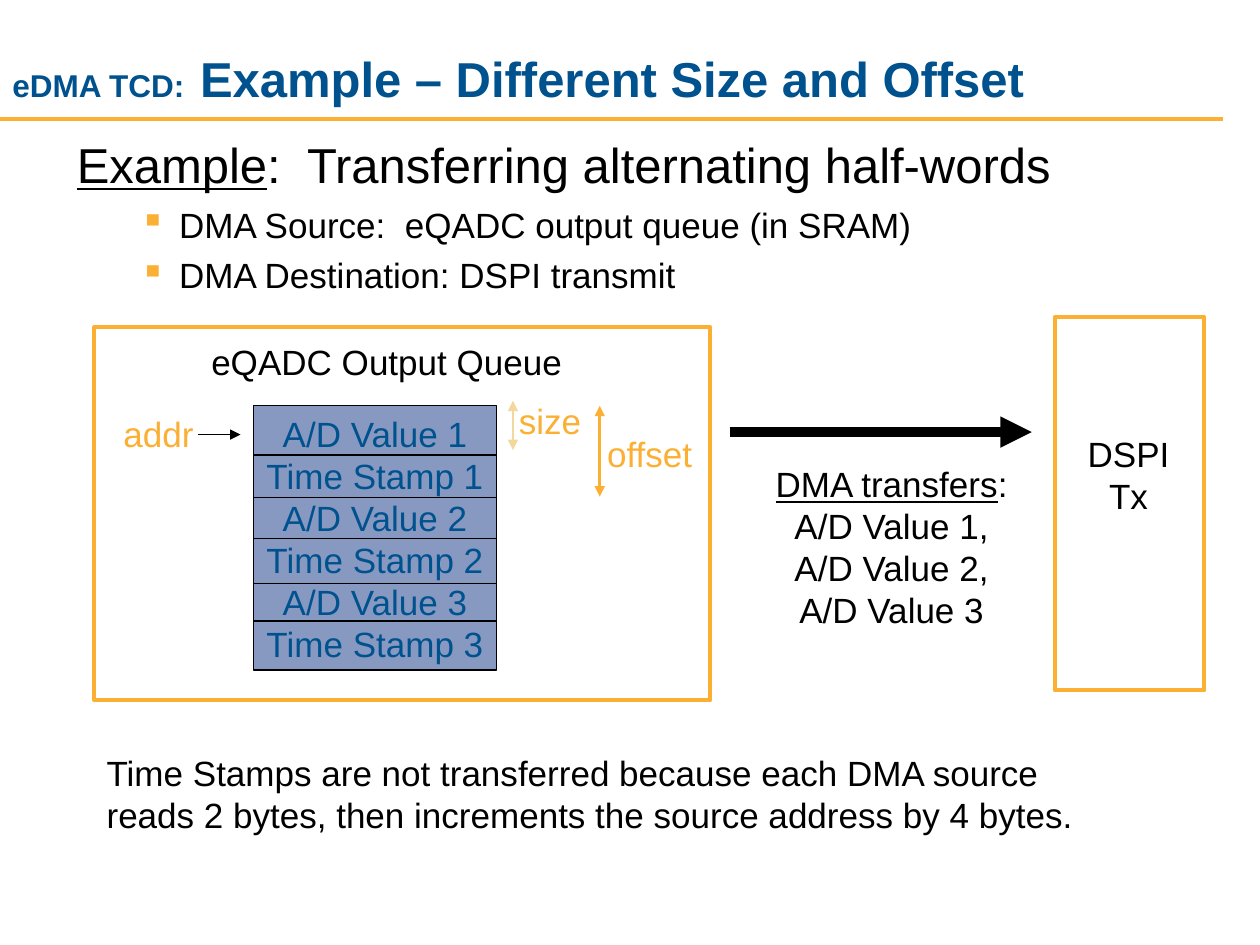
from pptx import Presentation
from pptx.dml.color import RGBColor
from pptx.enum import shapes, text
from pptx.oxml.xmlchemy import OxmlElement
from pptx.util import Cm, Pt

THEME = {
    "font": "Arial",
    "blue": RGBColor(0x00, 0x52, 0x8E),
    "orange": RGBColor(0xFB, 0xB0, 0x34),
    "sand": RGBColor(0xF3, 0xD8, 0x9D),
    "queue": RGBColor(0x87, 0x99, 0xC1),
    "black": RGBColor(0, 0, 0),
    "heading": Pt(28),
    "title_gap": Pt(32),
    "prefix": Pt(18),
    "body": Pt(20),
}
LEFT, CENTER = text.PP_ALIGN.LEFT, text.PP_ALIGN.CENTER


def write(shape, paragraphs, color="black", align=LEFT, wrap=False, anchor="TOP", before=0):
    frame = shape.text_frame
    frame_format = {
        "word_wrap": wrap,
        "auto_size": text.MSO_AUTO_SIZE.NONE,
        "vertical_anchor": text.MSO_ANCHOR[anchor],
        "margin_left": Cm(0.25),
        "margin_right": Cm(0.25),
        "margin_top": Cm(0.13),
        "margin_bottom": Cm(0.13),
    }
    for name, value in frame_format.items():
        setattr(frame, name, value)
    for index, runs in enumerate(paragraphs):
        paragraph = frame.paragraphs[0] if index == 0 else frame.add_paragraph()
        paragraph.alignment = align
        paragraph.space_before = Pt(before)
        for content, extra in [(runs, {})] if isinstance(runs, str) else runs:
            run = paragraph.add_run()
            run.text = content
            run.font.color.rgb = THEME[color]
            run_format = {"name": THEME["font"], "size": THEME["body"], **extra}
            for name, value in run_format.items():
                setattr(run.font, name, value)
    return frame


def draw_line(start, end, color="black", width=0.75, arrows=()):
    line = slide.shapes.add_connector(
        shapes.MSO_CONNECTOR.STRAIGHT, *(Cm(value) for value in start + end))
    line.line.color.rgb = THEME[color]
    line.line.width = Pt(width)
    outline = line.line._get_or_add_ln()
    for end_name in arrows:
        arrow = OxmlElement(f"a:{end_name}")
        arrow.set("type", "triangle")
        outline.append(arrow)
    line._element.spPr.append(OxmlElement("a:effectLst"))


presentation = Presentation()
presentation.slide_width, presentation.slide_height = Cm(25.4), Cm(19.05)
slide = presentation.slides.add_slide(presentation.slide_layouts[5])

title = slide.shapes.title
title_place = {"left": 0, "top": 0.48, "width": 22.71, "height": 1.85}
for name, value in title_place.items():
    setattr(title, name, Cm(value))
title_runs = [
    ("eDMA TCD:", {"size": THEME["prefix"], "bold": True}),
    (" ", {"size": THEME["title_gap"], "bold": True}),
    ("Example – Different Size and Offset", {"size": THEME["heading"], "bold": True}),
]
write(title, [title_runs], "blue", wrap=True, anchor="BOTTOM")
draw_line((0, 2.39), (24.66, 2.39), "orange", 2.25)

body = slide.shapes.add_textbox(Cm(1.3), Cm(2.72), Cm(21.56), Cm(3.51))
body_frame = write(body, [
    [("Example", {"size": THEME["heading"], "underline": True}),
     (":  Transferring alternating half-words", {"size": THEME["heading"]})],
    "DMA Source:  eQADC output queue (in SRAM)",
    "DMA Destination: DSPI transmit",
], wrap=True, before=5)
heading, *bullets = body_frame.paragraphs
heading.space_before = Pt(7)
heading.line_spacing = 0.9
for paragraph in bullets:
    paragraph.level = 1
    properties = paragraph._p.get_or_add_pPr()
    properties.set("marL", str(Cm(2.06)))
    properties.set("indent", str(Cm(-0.79)))
    bullet_color = OxmlElement("a:buClr")
    color_value = OxmlElement("a:srgbClr")
    color_value.set("val", str(THEME["orange"]))
    bullet_color.append(color_value)
    bullet = OxmlElement("a:buChar")
    bullet.set("char", "▪")
    properties.extend([bullet_color, bullet])

boxes = [
    ((5.11, 8.18, 4.9, 5.33), "queue", "black", 0.75),
    ((1.9, 6.6, 12.42, 7.52), None, "orange", 2.25),
    ((21.26, 6.4, 3.02, 7.52), None, "orange", 2.25),
]
for place, fill, outline, width in boxes:
    box = slide.shapes.add_shape(
        shapes.MSO_SHAPE.RECTANGLE, *(Cm(value) for value in place))
    box.shadow.inherit = False
    box.line.color.rgb = THEME[outline]
    box.line.width = Pt(width)
    if fill:
        box.fill.solid()
        box.fill.fore_color.rgb = THEME[fill]
        entries = [f"{kind} {number}" for number in (1, 2, 3)
                   for kind in ("A/D Value", "Time Stamp")]
        write(box, entries, "blue", CENTER)
    else:
        box.fill.background()

for y in (9.17, 10.03, 10.85, 11.76, 12.52):
    draw_line((5.11, y), (10.02, y))

both_ends = ("headEnd", "tailEnd")
draw_line((10.34, 8.08), (10.34, 9.07), "sand", 1.5, both_ends)
draw_line((12.09, 8.18), (12.09, 10.01), "orange", 1.5, both_ends)
draw_line((3.99, 8.76), (4.85, 8.76), arrows=("tailEnd",))
draw_line((14.71, 8.71), (20.8, 8.71), width=6, arrows=("tailEnd",))

transfers = [[("DMA transfers", {"underline": True}), (":", {})],
             "A/D Value 1,", "A/D Value 2,", "A/D Value 3"]
labels = [
    ((10.21, 7.92, 1.75, 1.11), ["size"], "orange", LEFT),
    ((11.99, 8.58, 2.24, 1.11), ["offset"], "orange", LEFT),
    ((2.24, 8.18, 1.9, 1.11), ["addr"], "orange", LEFT),
    ((4.01, 6.73, 7.57, 1.11), ["eQADC Output Queue"], "black", LEFT),
    ((21.67, 8.58, 2.16, 2.79), ["DSPI", "Tx"], "black", CENTER),
    ((15.37, 9.2, 5.21, 3.66), transfers, "black", CENTER),
]
for place, paragraphs, color, align in labels:
    label = slide.shapes.add_textbox(*(Cm(value) for value in place))
    write(label, paragraphs, color, align)

note = slide.shapes.add_textbox(Cm(1.9), Cm(15.01), Cm(20.09), Cm(1.96))
write(note, ["Time Stamps are not transferred because each DMA source reads 2 bytes, "
             "then increments the source address by 4 bytes."], wrap=True, before=5)

presentation.save("out.pptx")
